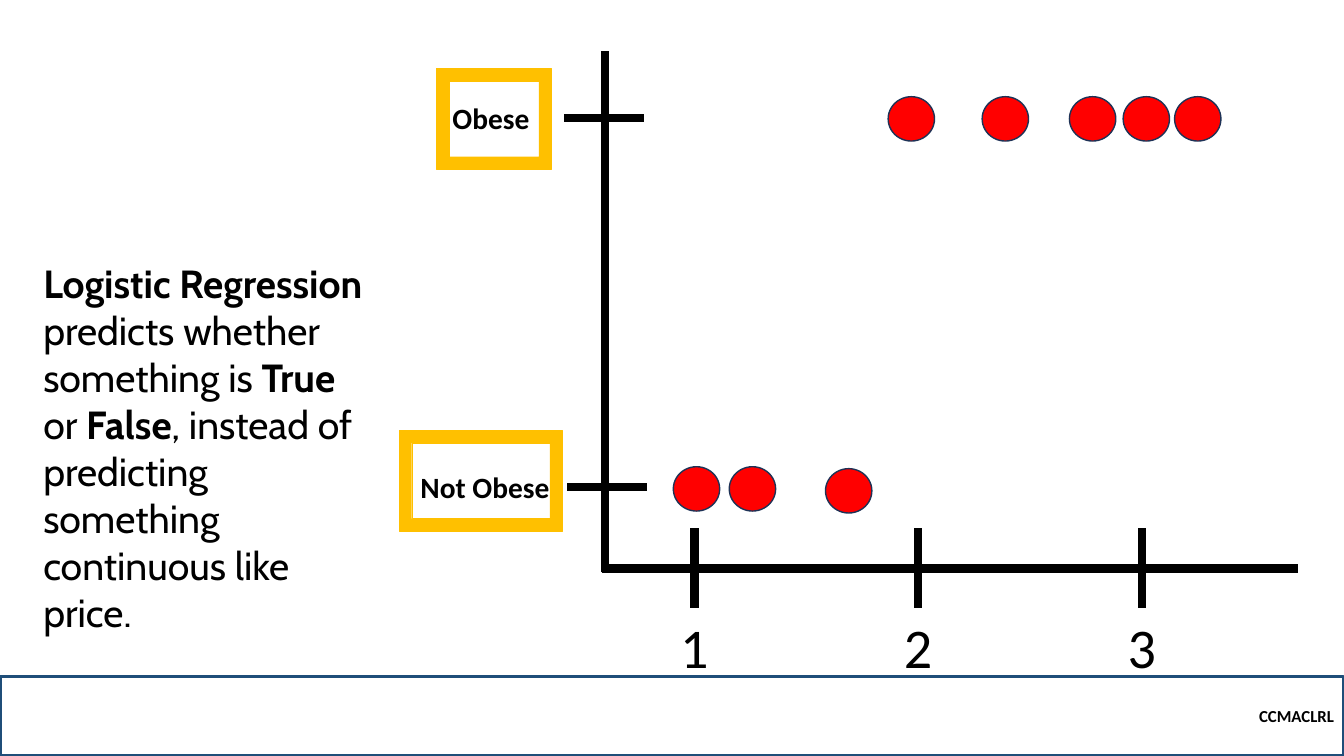
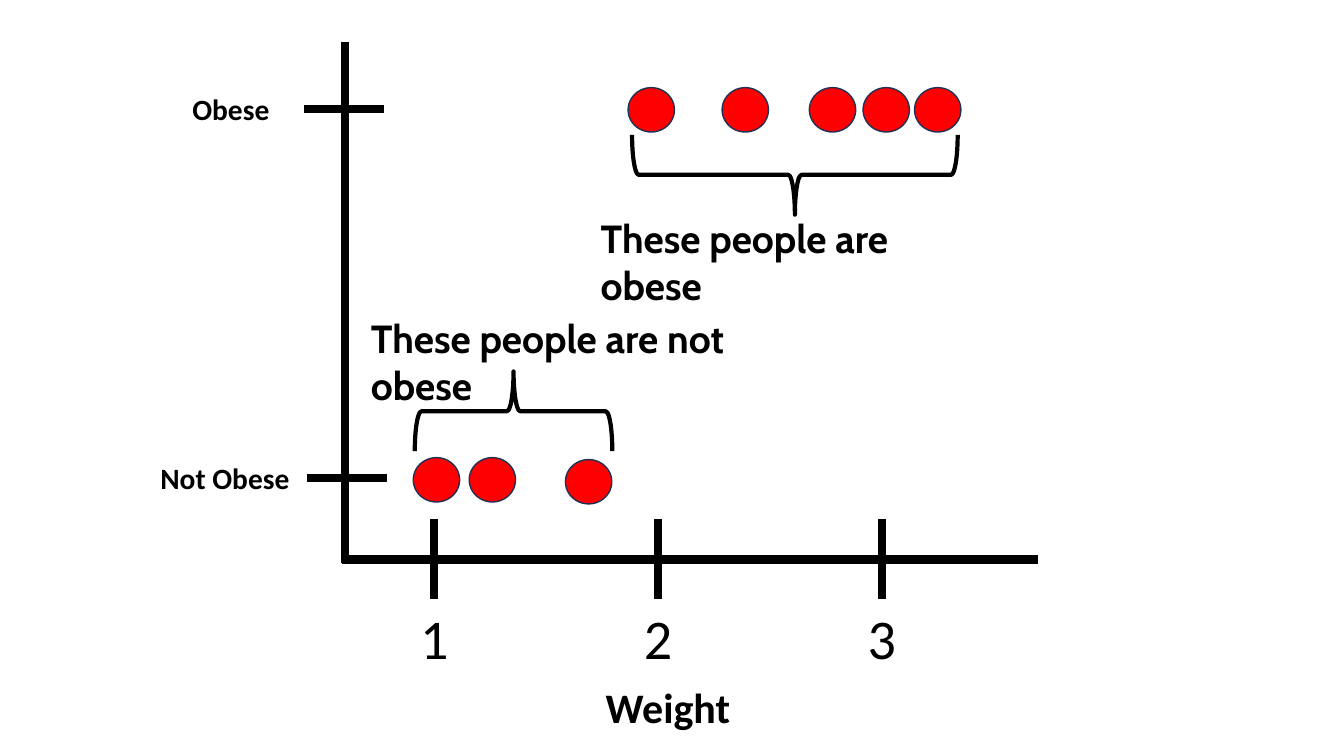
from dataclasses import dataclass

from lxml.etree import SubElement
from pptx import Presentation
from pptx.dml.color import RGBColor
from pptx.enum.shapes import MSO_CONNECTOR, MSO_SHAPE
from pptx.enum.text import MSO_ANCHOR, PP_ALIGN
from pptx.oxml.ns import qn
from pptx.shapes.autoshape import Shape
from pptx.slide import Slide
from pptx.util import Emu, Inches, Pt

WIDTH, HEIGHT = Inches(13.33), Inches(7.5)
COL, ROW = WIDTH / 100, HEIGHT / 100

BLACK = RGBColor(0x00, 0x00, 0x00)
RED = RGBColor(0xFF, 0x00, 0x00)
NAVY = RGBColor(0x1E, 0x32, 0x56)
BLUE = RGBColor(0x1F, 0x4E, 0x79)
GOLD = RGBColor(0xFF, 0xC0, 0x00)

PLAIN, ROUND = "Calibri", "Cabin"
STEP, START = 16.65, 0.6
DOT_COLS, DOT_ROWS = 3.45, 5.87


@dataclass(frozen=True)
class Box:
    left: float
    top: float
    width: float
    height: float


@dataclass(frozen=True)
class Font:
    name: str
    size: float
    bold: bool = False


@dataclass(frozen=True)
class Level:
    name: str
    rise: float
    tick: float
    label: float
    width: float


@dataclass(frozen=True)
class Dot:
    weight: float
    level: Level
    drop: float


@dataclass(frozen=True)
class Brace:
    mid: float
    row: float
    span: float
    turn: int


@dataclass(frozen=True)
class Note:
    text: str
    box: Box
    font: Font


THIN = Level("Not Obese", 10.8, -2.78, -14.45, 11.33)
OBESE = Level("Obese", 59.6, -3.0, -12.08, 7.73)
DOTS = (
    [Dot(1.01, THIN, 0.27), Dot(1.26, THIN, 0.27), Dot(1.69, THIN, 0.53)]
    + [Dot(weight, OBESE, 0.13) for weight in (1.97, 2.39, 2.78, 3.02, 3.25)]
)
LABEL = Font(PLAIN, 21, True)
NUMBER = Font(PLAIN, 40)
CLAIM = Font(ROUND, 28, True)

PITCH = (
    ("Logistic Regression ", True),
    ("predicts whether something is ", False),
    ("True", True),
    (" or ", False),
    ("False", True),
    (", instead of predicting something continuous like price.", False),
)
FRAMES = (Box(32.48, 9.07, 8.55, 13.33), Box(29.7, 56.93, 12.15, 13.33))
BRACES = (Brace(59.14, 23.13, 24.23, 90), Brace(38.21, 54.4, 14.7, 270))
NOTES = (
    Note("These people are obese", Box(43.95, 27.73, 30.45, 7.6), CLAIM),
    Note("Weight", Box(44.33, 89.47, 11.33, 8.13), Font(PLAIN, 30, True)),
    Note("These people are not obese", Box(26.85, 40.93, 35.18, 7.6), CLAIM),
)


def place(box: Box) -> tuple[Emu, Emu, Emu, Emu]:
    return (Emu(round(box.left * COL)), Emu(round(box.top * ROW)),
            Emu(round(box.width * COL)), Emu(round(box.height * ROW)))


def style(run, font: Font) -> None:
    run.font.name = font.name
    run.font.size = Pt(font.size)
    run.font.bold = font.bold
    run.font.color.rgb = BLACK


def write(shape: Shape, text: str, font: Font, align: PP_ALIGN) -> None:
    para = shape.text_frame.paragraphs[0]
    para.text = text
    para.alignment = align
    style(para.runs[0], font)


def add_text(slide: Slide, text: str, box: Box, font: Font,
             align: PP_ALIGN = PP_ALIGN.LEFT, wrap: bool = True) -> None:
    shape = slide.shapes.add_textbox(*place(box))
    shape.text_frame.word_wrap = wrap
    write(shape, text, font, align)


def add_form(slide: Slide, kind: MSO_SHAPE, box: Box, line: RGBColor,
             weight: float, fill: RGBColor | None = None) -> Shape:
    shape = slide.shapes.add_shape(kind, *place(box))
    shape.shadow.inherit = False
    shape.line.color.rgb = line
    shape.line.width = Pt(weight)
    if fill is None:
        shape.fill.background()
    else:
        shape.fill.solid()
        shape.fill.fore_color.rgb = fill
    return shape


def add_line(slide: Slide, left: float, top: float, right: float, base: float) -> None:
    ends = [Emu(round(at)) for at in (left * COL, top * ROW, right * COL, base * ROW)]
    line = slide.shapes.add_connector(MSO_CONNECTOR.STRAIGHT, *ends)
    line.line.color.rgb = BLACK
    line.line.width = Pt(6)
    SubElement(line._element.spPr, qn("a:effectLst"))


def add_brace(slide: Slide, brace: Brace) -> None:
    depth, span = 5.93, brace.span * COL / ROW
    box = Box(brace.mid - depth / 2, brace.row - span / 2, depth, span)
    shape = add_form(slide, MSO_SHAPE.RIGHT_BRACE, box, BLACK, 3)
    shape.rotation = brace.turn


def add_plot(slide: Slide, left: float, base: float) -> None:
    def spot(weight: float) -> float:
        return left + STEP * (weight - START)

    add_line(slide, left, base + 0.53, left, base - 68.4)
    add_line(slide, left - 0.23, base, left + 51.6, base)
    for mark in (1, 2, 3):
        mid = spot(mark)
        add_line(slide, mid, base - 5.33, mid, base + 5.2)
        add_text(slide, str(mark), Box(mid - 1.84, base + 5.2, 3.68, 10.27),
                 NUMBER, PP_ALIGN.CENTER, False)
    for level in (THIN, OBESE):
        row = base - level.rise
        tick = left + level.tick
        add_line(slide, tick, row, tick + 5.93, row)
        add_text(slide, level.name, Box(left + level.label, row - 3, level.width, 6), LABEL)
    for dot in DOTS:
        row = base - dot.level.rise + dot.drop
        box = Box(spot(dot.weight) - DOT_COLS / 2, row - DOT_ROWS / 2, DOT_COLS, DOT_ROWS)
        add_form(slide, MSO_SHAPE.OVAL, box, NAVY, 1, RED)


def add_band(slide: Slide) -> None:
    band = add_form(slide, MSO_SHAPE.RECTANGLE, Box(0, 89.47, 100, 10.53), BLUE, 2.25)
    band.text_frame.vertical_anchor = MSO_ANCHOR.MIDDLE
    write(band, "CCMACLRL", Font(PLAIN, 12, True), PP_ALIGN.RIGHT)


def add_pitch(slide: Slide) -> None:
    shape = slide.shapes.add_textbox(*place(Box(2.48, 33.6, 25.35, 51.6)))
    shape.text_frame.word_wrap = True
    para = shape.text_frame.paragraphs[0]
    for text, bold in PITCH:
        run = para.add_run()
        run.text = text
        style(run, Font(ROUND, 28, bold))


def main() -> None:
    deck = Presentation()
    deck.slide_width, deck.slide_height = WIDTH, HEIGHT
    blank = deck.slide_layouts[6]

    intro = deck.slides.add_slide(blank)
    add_band(intro)
    add_plot(intro, 45, 75.2)
    add_pitch(intro)
    for box in FRAMES:
        add_form(intro, MSO_SHAPE.FRAME, box, GOLD, 0.25, GOLD)

    groups = deck.slides.add_slide(blank)
    add_plot(groups, 25.65, 74)
    for note in NOTES:
        add_text(groups, note.text, note.box, note.font)
    for brace in BRACES:
        add_brace(groups, brace)

    deck.save("out.pptx")


if __name__ == "__main__":
    main()
